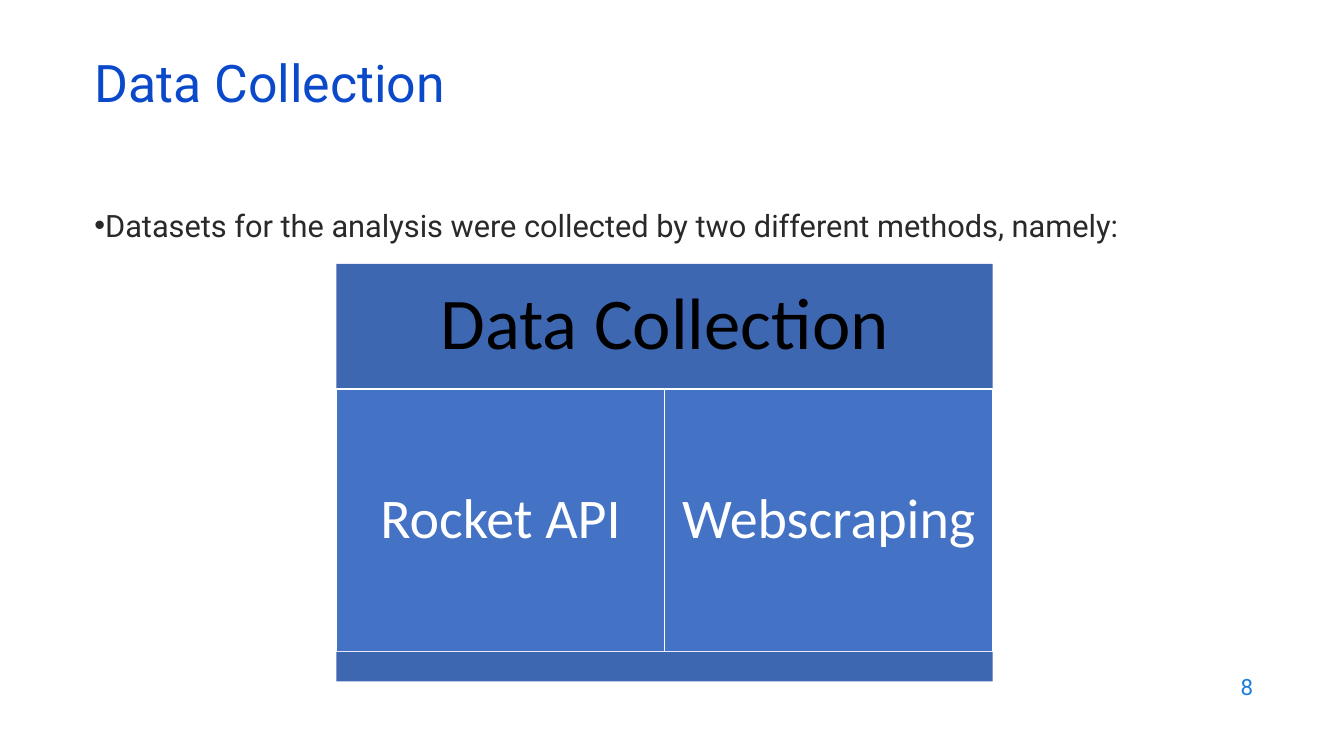
"""Build the Data Collection slide with its two-method block diagram."""
from dataclasses import dataclass

from lxml import etree
from pptx import Presentation
from pptx.dml.color import RGBColor
from pptx.enum import shapes, text
from pptx.oxml import ns
from pptx.util import Cm, Pt

HEADING = "Data Collection"
INTRO = "Datasets for the analysis were collected by two different methods, namely:"
DIAGRAM_HEADER = "Data Collection"
METHODS = ["Rocket API", "Webscraping"]
PAGE_NUMBER = "8"


@dataclass(frozen=True)
class Theme:
    body_font: str = "Roboto"
    diagram_font: str = "Calibri"
    heading: str = "0B49CB"
    body: str = "292929"
    page: str = "1C7DDB"
    band: str = "3E67B2"
    method: str = "4472C4"
    black: str = "000000"
    white: str = "FFFFFF"
    heading_size: int = 37
    body_size: int = 22
    page_size: int = 16
    header_size: int = 52
    method_size: int = 40


THEME = Theme()
SLIDE_SIZE = (33.87, 19.05)
MARGIN, CONTENT_WIDTH = 2.13, 29.21
DIAGRAM_LEFT, DIAGRAM_TOP, DIAGRAM_WIDTH = 8.48, 6.65, 16.54
HEADER_HEIGHT, METHOD_HEIGHT, FOOTER_HEIGHT = 3.15, 6.63, 0.74


def write(paragraph, words, font, size, color, align, spacing=1.0):
    paragraph.alignment = align
    paragraph.line_spacing = spacing
    run = paragraph.add_run()
    run.text = words
    run.font.name = font
    run.font.size = Pt(size)
    run.font.color.rgb = RGBColor.from_string(color)


def add_text(slide, box, words, size, color, align, anchor):
    frame = slide.shapes.add_textbox(*map(Cm, box)).text_frame
    frame.word_wrap = True
    frame.vertical_anchor = anchor
    write(frame.paragraphs[0], words, THEME.body_font, size, color, align)
    return frame.paragraphs[0]


def add_block(slide, box, fill, words="", size=0, color="", inset=0.3, outline=None):
    block = slide.shapes.add_shape(shapes.MSO_SHAPE.RECTANGLE, *map(Cm, box))
    block.shadow.inherit = False
    block.fill.solid()
    block.fill.fore_color.rgb = RGBColor.from_string(fill)
    if outline:
        block.line.color.rgb = RGBColor.from_string(outline)
        block.line.width = Pt(1)
    else:
        block.line.fill.background()
    if words:
        frame = block.text_frame
        frame.word_wrap = True
        frame.vertical_anchor = text.MSO_ANCHOR.MIDDLE
        frame.margin_left = frame.margin_right = Cm(inset)
        frame.margin_top = frame.margin_bottom = Cm(inset)
        write(frame.paragraphs[0], words, THEME.diagram_font, size, color,
              text.PP_ALIGN.CENTER, 0.9)


def add_heading(slide):
    heading = slide.shapes.title
    heading.left, heading.top = Cm(MARGIN), Cm(1.5)
    heading.width, heading.height = Cm(CONTENT_WIDTH), Cm(1.52)
    frame = heading.text_frame
    frame.auto_size = text.MSO_AUTO_SIZE.NONE
    frame.vertical_anchor = text.MSO_ANCHOR.MIDDLE
    write(frame.paragraphs[0], HEADING, THEME.body_font, THEME.heading_size,
          THEME.heading, text.PP_ALIGN.LEFT, 0.7)


def add_intro(slide):
    intro = add_text(slide, (MARGIN, 5.08, CONTENT_WIDTH, 1.3), INTRO, THEME.body_size,
                     THEME.body, text.PP_ALIGN.LEFT, text.MSO_ANCHOR.TOP)
    properties = intro._p.get_or_add_pPr()
    properties.set("marL", "0")
    properties.set("indent", "0")
    etree.SubElement(properties, ns.qn("a:buFont")).set("typeface", "Arial")
    etree.SubElement(properties, ns.qn("a:buChar")).set("char", "•")


def add_diagram(slide):
    methods_top = DIAGRAM_TOP + HEADER_HEIGHT
    footer_top = methods_top + METHOD_HEIGHT
    method_width = DIAGRAM_WIDTH / len(METHODS)
    add_block(slide, (DIAGRAM_LEFT, DIAGRAM_TOP, DIAGRAM_WIDTH, HEADER_HEIGHT), THEME.band,
              DIAGRAM_HEADER, THEME.header_size, THEME.black, inset=0.56)
    for column, method in enumerate(METHODS):
        left = DIAGRAM_LEFT + column * method_width
        add_block(slide, (left, methods_top, method_width, METHOD_HEIGHT), THEME.method,
                  method, THEME.method_size, THEME.white, outline=THEME.white)
    add_block(slide, (DIAGRAM_LEFT, footer_top, DIAGRAM_WIDTH, FOOTER_HEIGHT), THEME.band)


def main():
    deck = Presentation()
    deck.slide_width, deck.slide_height = map(Cm, SLIDE_SIZE)
    slide = deck.slides.add_slide(deck.slide_layouts[5])
    add_text(slide, (24.21, 16.74, 7.62, 1.12), PAGE_NUMBER, THEME.page_size, THEME.page,
             text.PP_ALIGN.RIGHT, text.MSO_ANCHOR.MIDDLE)
    add_intro(slide)
    add_heading(slide)
    add_diagram(slide)
    deck.save("out.pptx")


if __name__ == "__main__":
    main()
